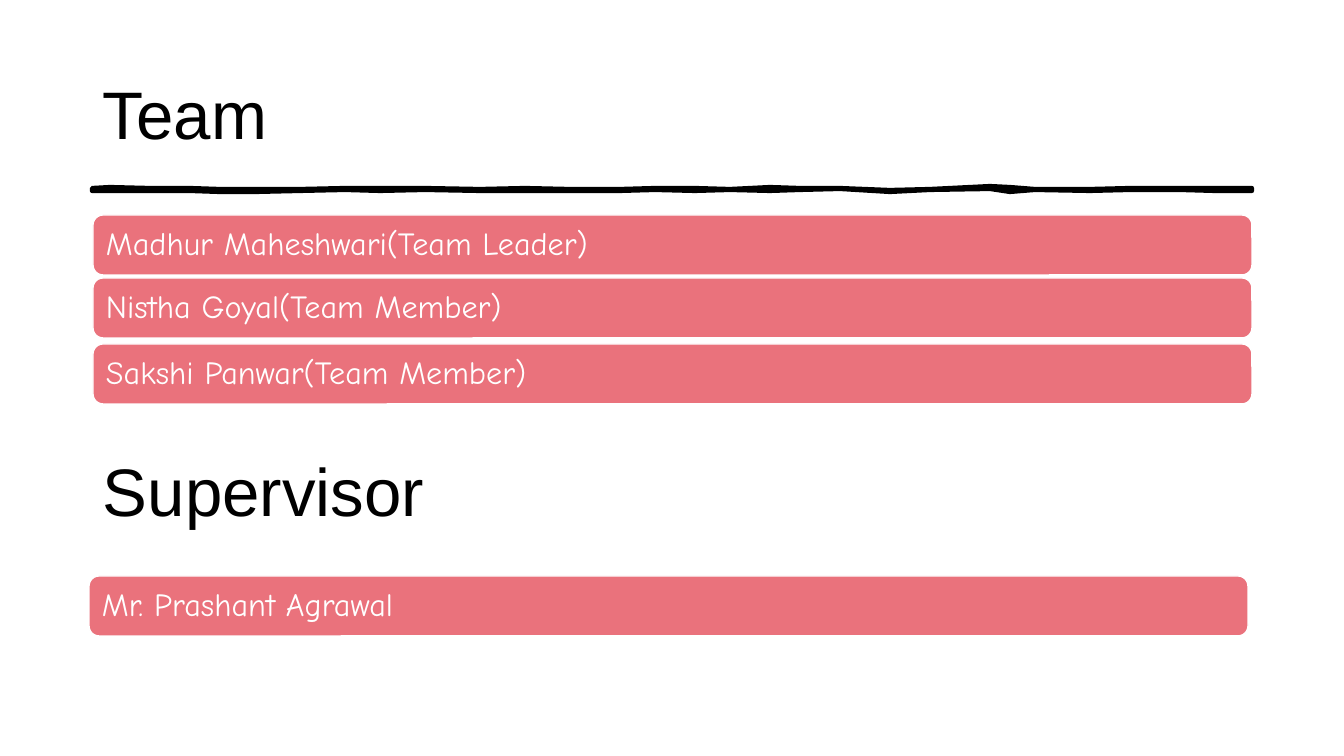
import pptx
import pptx.dml.color
import pptx.enum.shapes
import pptx.enum.text
import pptx.util

PX = 914400 / 100.8
LEFT, WIDTH, BAR_HEIGHT = 93, 1159, 60
HEADING_HEIGHT = 146
MEMBERS = [
    (215, "Madhur Maheshwari(Team Leader)"),
    (278, "Nistha Goyal(Team Member)"),
    (344, "Sakshi Panwar(Team Member)"),
]
STROKE = [
    (92, 188, 191), (110, 187, 191), (150, 188, 191), (190, 188, 191),
    (220, 189, 192), (255, 189, 192), (300, 189, 191), (345, 188, 190),
    (380, 188, 191), (425, 188, 190), (480, 189, 191), (525, 188, 191),
    (570, 189, 191), (620, 189, 191), (655, 188, 190), (695, 188, 191),
    (730, 189, 190), (770, 187, 191), (800, 188, 190), (840, 188, 189),
    (890, 190, 192), (930, 189, 190), (990, 186, 189), (1010, 187, 192),
    (1035, 189, 190), (1090, 189, 191), (1130, 188, 190),
    (1180, 188, 190), (1215, 188, 191), (1252, 188, 191),
]


def px(length):
    return pptx.util.Emu(round(length * PX))


def color(value):
    return pptx.dml.color.RGBColor.from_string(value)


def set_all(target, values):
    for name, value in values.items():
        setattr(target, name, value)


def place(shape, left, top, width, height):
    set_all(shape, {"left": px(left), "top": px(top),
                    "width": px(width), "height": px(height)})


def write(shape, text, size, font, text_color, line_spacing):
    frame = shape.text_frame
    inset = px(10)
    set_all(frame, {
        "word_wrap": True,
        "auto_size": pptx.enum.text.MSO_AUTO_SIZE.NONE,
        "vertical_anchor": pptx.enum.text.MSO_ANCHOR.MIDDLE,
        "margin_left": inset, "margin_right": inset,
        "margin_top": px(5), "margin_bottom": px(5),
    })
    para = frame.paragraphs[0]
    set_all(para, {"alignment": pptx.enum.text.PP_ALIGN.LEFT,
                   "line_spacing": line_spacing})
    span = para.add_run()
    span.text = text
    set_all(span.font, {"size": pptx.util.Pt(size), "name": font})
    span.font.color.rgb = color(text_color)


def paint(shape, fill, line, line_width):
    shape.shadow.inherit = False
    shape.fill.solid()
    shape.fill.fore_color.rgb = color(fill)
    shape.line.color.rgb = color(line)
    shape.line.width = pptx.util.Pt(line_width)


def add_brush_line(page):
    upper = [(x, top) for x, top, bottom in STROKE]
    lower = [(x, bottom) for x, top, bottom in reversed(STROKE)]
    builder = page.shapes.build_freeform(*upper[0], scale=PX)
    builder.add_line_segments(upper[1:] + lower, close=True)
    paint(builder.convert_to_shape(), "000000", "000000", 3)


def add_heading(box, top, text):
    place(box, LEFT, top, WIDTH, HEADING_HEIGHT)
    write(box, text, 48, "Arial", "000000", 1.0)


def add_name_bar(page, left, top, text):
    bar = page.shapes.add_shape(
        pptx.enum.shapes.MSO_SHAPE.ROUNDED_RECTANGLE,
        px(left), px(top), px(WIDTH), px(BAR_HEIGHT))
    paint(bar, "EA727C", "FFFFFF", 1)
    write(bar, text, 23, "Comic Neue", "FFFFFF", 0.9)


def main():
    deck = pptx.Presentation()
    set_all(deck, {"slide_width": px(1344), "slide_height": px(756)})
    page = deck.slides.add_slide(deck.slide_layouts[5])
    add_brush_line(page)
    add_heading(page.shapes.title, 40, "Team")
    for top, name in MEMBERS:
        add_name_bar(page, LEFT, top, name)
    supervisor = page.shapes.add_textbox(0, 0, 0, 0)
    add_heading(supervisor, 417, "Supervisor")
    add_name_bar(page, 89, 576, "Mr. Prashant Agrawal")
    deck.save("out.pptx")


if __name__ == "__main__":
    main()
